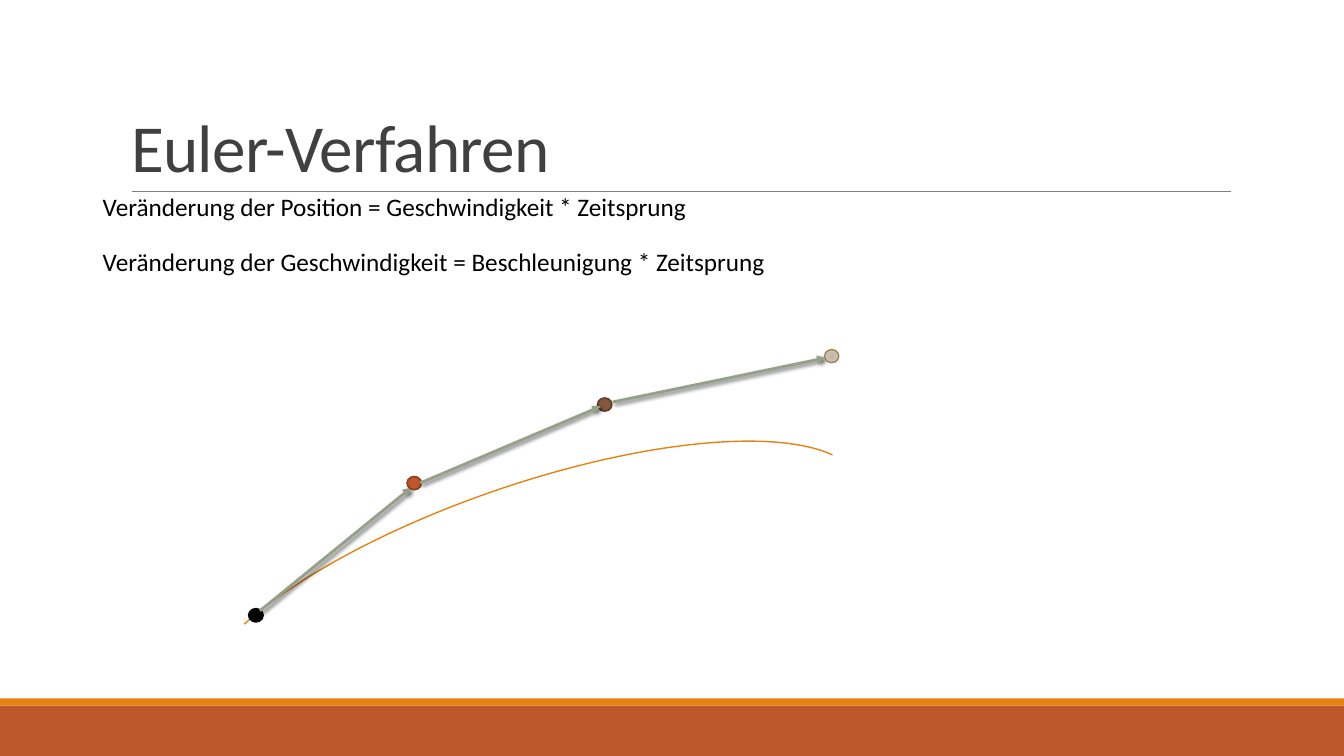
import pptx
import pptx.util
import pptx.dml.color
import pptx.enum.shapes
import pptx.enum.text
import pptx.oxml
import pptx.oxml.ns

Cm, Pt = pptx.util.Cm, pptx.util.Pt
RGBColor = pptx.dml.color.RGBColor
MSO_SHAPE = pptx.enum.shapes.MSO_SHAPE
STRAIGHT = pptx.enum.shapes.MSO_CONNECTOR.STRAIGHT
MSO_ANCHOR = pptx.enum.text.MSO_ANCHOR
MSO_AUTO_SIZE = pptx.enum.text.MSO_AUTO_SIZE
PP_ALIGN = pptx.enum.text.PP_ALIGN

BLACK = RGBColor(0x00, 0x00, 0x00)
TITLE_GREY = RGBColor(0x40, 0x40, 0x40)
RULE_GREY = RGBColor(0x80, 0x80, 0x80)
ORANGE = RGBColor(0xE4, 0x83, 0x12)
RUST = RGBColor(0xBD, 0x58, 0x2C)
RUST_EDGE = RGBColor(0x8C, 0x41, 0x21)
BROWN = RGBColor(0x86, 0x56, 0x40)
BROWN_EDGE = RGBColor(0x63, 0x40, 0x2F)
SAND = RGBColor(0xCC, 0xC1, 0xB1)
SAND_EDGE = RGBColor(0x9B, 0x83, 0x57)
SAGE = RGBColor(0x94, 0xA0, 0x88)

NS = pptx.oxml.ns.nsdecls("a")
NO_EFFECT = f"<a:effectLst {NS}/>"
ARROW_SHADOW = (
    f'<a:effectLst {NS}><a:outerShdw blurRad="38100" dist="25400" dir="2700000" '
    'algn="br" rotWithShape="0"><a:srgbClr val="000000"><a:alpha val="60000"/>'
    "</a:srgbClr></a:outerShdw></a:effectLst>"
)
ARROWHEAD = f'<a:tailEnd {NS} type="triangle"/>'
SAND_GRADIENT = (
    f'<a:gradFill {NS} rotWithShape="1"><a:gsLst>'
    '<a:gs pos="0"><a:srgbClr val="C2B5A2"/></a:gs>'
    '<a:gs pos="45000"><a:srgbClr val="CCC1B1"/></a:gs>'
    '<a:gs pos="100000"><a:srgbClr val="D4C8B8"/></a:gs></a:gsLst>'
    '<a:path path="circle"><a:fillToRect l="100000" t="100000" r="100000" b="100000"/>'
    "</a:path></a:gradFill>"
)


def write_text(tf, text, size=18, color=BLACK, spacing=None, tracking=None):
    """Fill a text frame with one left-aligned run; tracking is in points."""
    p = tf.paragraphs[0]
    p.alignment = PP_ALIGN.LEFT
    p.line_spacing = spacing
    r = p.add_run()
    r.text = text
    r.font.name = "Calibri"
    r.font.size = Pt(size)
    r.font.color.rgb = color
    if tracking is not None:
        r.font._element.set("spc", str(round(tracking * 100)))


def add_line(start, end, color, width, effect):
    line = slide.shapes.add_connector(
        STRAIGHT, Cm(start[0]), Cm(start[1]), Cm(end[0]), Cm(end[1]))
    line.line.color.rgb = color
    line.line.width = Pt(width)
    line._element.spPr.append(pptx.oxml.parse_xml(effect))
    return line


prs = pptx.Presentation()
prs.slide_width, prs.slide_height = Cm(33.87), Cm(19.05)
slide = prs.slides.add_slide(prs.slide_layouts[5])

# Footer bands and title rule
for top, height, color in [(17.78, 1.27, RUST), (17.6, 0.18, ORANGE)]:
    band = slide.shapes.add_shape(
        MSO_SHAPE.RECTANGLE, 0, Cm(top), prs.slide_width, Cm(height))
    band.shadow.inherit = False
    band.fill.solid()
    band.fill.fore_color.rgb = color
    band.line.fill.background()
add_line((3.32, 4.83), (31.01, 4.83), RULE_GREY, 0.5, NO_EFFECT)

# Title and formulas
title = slide.shapes.title
title.left, title.top, title.width, title.height = Cm(3.05), Cm(0.79), Cm(27.94), Cm(4.04)
title.text_frame.auto_size = MSO_AUTO_SIZE.NONE
title.text_frame.vertical_anchor = MSO_ANCHOR.BOTTOM
write_text(title.text_frame, "Euler-Verfahren", size=48, color=TITLE_GREY,
           spacing=0.85, tracking=-0.5)

for top, width, formula in [
    (4.7, 16.05, "Veränderung der Position = Geschwindigkeit * Zeitsprung"),
    (6.07, 18.01, "Veränderung der Geschwindigkeit = Beschleunigung * Zeitsprung"),
]:
    tf = slide.shapes.add_textbox(Cm(2.34), Cm(top), Cm(width), Cm(1.02)).text_frame
    tf.word_wrap = False
    tf.auto_size = MSO_AUTO_SIZE.SHAPE_TO_FIT_TEXT
    write_text(tf, formula)

# Exact trajectory
curve = slide.shapes.add_shape(MSO_SHAPE.ARC, Cm(4.57), Cm(12.22), Cm(17.6), Cm(5.59))
curve.adjustments[0] = 116.005
curve.adjustments[1] = 212.389
curve.rotation = 341
curve.shadow.inherit = False
curve.fill.background()
curve.line.color.rgb = ORANGE
curve.line.width = Pt(1)

# Euler steps: each point, followed by the arrows lying above it
steps = [
    (6.27, 15.34, BLACK, BLACK, 1.25, [((6.55, 15.39), (10.36, 12.29))]),
    (10.26, 12.01, RUST, RUST_EDGE, 1.25, []),
    (15.06, 10.03, BROWN, BROWN_EDGE, 1.25,
     [((10.59, 12.17), (15.14, 10.24)), ((15.44, 10.13), (20.8, 9.02))]),
    (20.78, 8.81, SAND, SAND_EDGE, 1, []),
]
for left, top, fill, edge, width, arrows in steps:
    point = slide.shapes.add_shape(MSO_SHAPE.OVAL, Cm(left), Cm(top), Cm(0.36), Cm(0.33))
    point.shadow.inherit = False
    point.fill.solid()
    point.fill.fore_color.rgb = fill
    point.line.color.rgb = edge
    point.line.width = Pt(width)
    for start, end in arrows:
        arrow = add_line(start, end, SAGE, 2, ARROW_SHADOW)
        arrow.line._get_or_add_ln().append(pptx.oxml.parse_xml(ARROWHEAD))

# The last point has a radial gradient
spPr = point._element.spPr
spPr.replace(spPr.find(pptx.oxml.ns.qn("a:solidFill")), pptx.oxml.parse_xml(SAND_GRADIENT))

prs.save("out.pptx")
